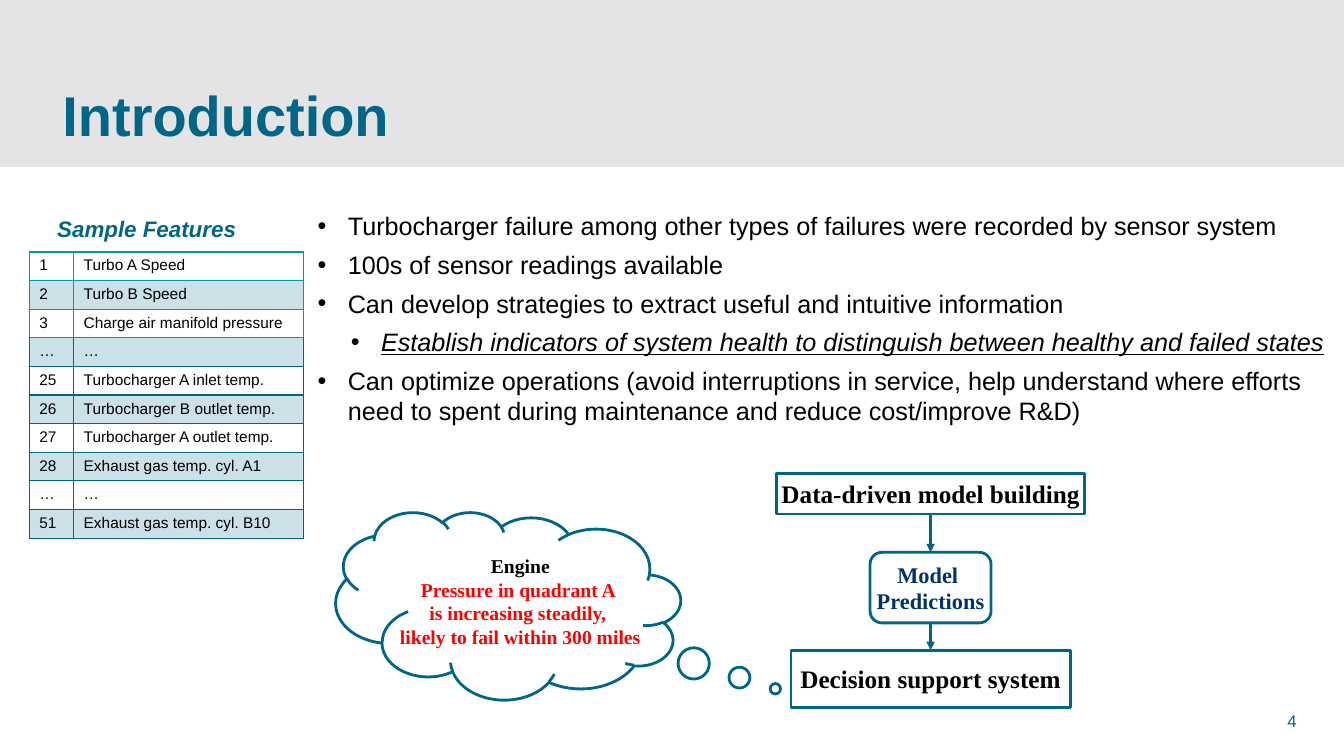
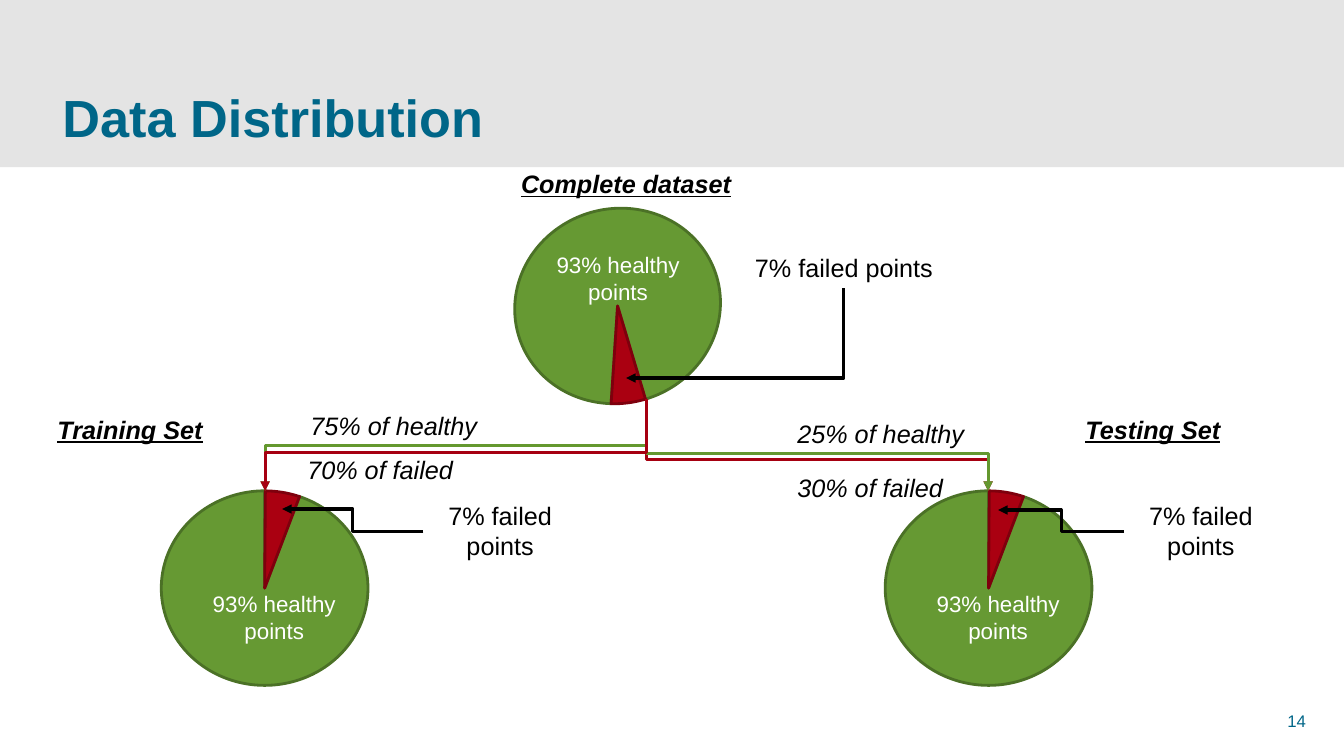
from dataclasses import dataclass, replace

from lxml.etree import SubElement
from pptx import Presentation
from pptx.dml.color import RGBColor
from pptx.enum.shapes import MSO_CONNECTOR, MSO_SHAPE
from pptx.enum.text import MSO_ANCHOR, PP_ALIGN
from pptx.oxml.ns import qn
from pptx.util import Inches, Pt

# Shared colours
BLUE = RGBColor(0x00, 0x66, 0x88)
TEAL = RGBColor(0x00, 0x99, 0xAA)
NAVY = RGBColor(0x00, 0x33, 0x66)
PALE_BLUE = RGBColor(0xCC, 0xE0, 0xE7)
BAND_GRAY = RGBColor(0xE4, 0xE4, 0xE4)
BLACK = RGBColor(0x00, 0x00, 0x00)
WHITE = RGBColor(0xFF, 0xFF, 0xFF)
BRIGHT_RED = RGBColor(0xFF, 0x00, 0x00)
GREEN = RGBColor(0x66, 0x99, 0x33)
GREEN_EDGE = RGBColor(0x4B, 0x71, 0x26)
GREEN_LINE = RGBColor(0x64, 0x98, 0x2F)
RED = RGBColor(0xAA, 0x00, 0x11)
RED_EDGE = RGBColor(0x7E, 0x00, 0x0D)
RED_LINE = RGBColor(0xA6, 0x00, 0x11)

SLIDE_WIDTH, SLIDE_HEIGHT = 13.33, 7.5


@dataclass(frozen=True)
class TextStyle:
    size: float = 18
    color: RGBColor = BLACK
    font: str = "Arial"
    bold: bool = False
    italic: bool = False
    underline: bool = False


# Shared text styles
BODY = TextStyle()
BODY_ITALIC = TextStyle(italic=True)
BODY_STRESSED = TextStyle(italic=True, underline=True)
SET_HEADING = TextStyle(bold=True, italic=True, underline=True)
TITLE = TextStyle(40, BLUE, bold=True)
PAGE_NUMBER = TextStyle(12, BLUE)
TABLE_HEADING = TextStyle(16, BLUE, bold=True, italic=True)
TABLE_TEXT = TextStyle(11)
PIE_TEXT = TextStyle(16, WHITE)
BOX_TEXT = TextStyle(18, font="Times New Roman", bold=True)
MODEL_TEXT = replace(BOX_TEXT, size=16, color=NAVY)
ENGINE_TEXT = replace(BOX_TEXT, size=14)
WARNING_TEXT = replace(ENGINE_TEXT, color=BRIGHT_RED)


def add_run(paragraph, text, style):
    run = paragraph.add_run()
    run.text = text
    font = run.font
    font.name, font.size, font.color.rgb = style.font, Pt(style.size), style.color
    font.bold, font.italic, font.underline = style.bold, style.italic, style.underline


def write_lines(frame, lines, align):
    """Write (text, style) pairs, one paragraph each."""
    for index, (text, style) in enumerate(lines):
        paragraph = frame.add_paragraph() if index else frame.paragraphs[0]
        paragraph.alignment = align
        add_run(paragraph, text, style)


def set_margins(frame, margin):
    frame.margin_left = frame.margin_right = Inches(margin)
    frame.margin_top = frame.margin_bottom = Inches(margin)


def add_text(slide, box, text, style, align=PP_ALIGN.CENTER, anchor=MSO_ANCHOR.TOP):
    frame = slide.shapes.add_textbox(*map(Inches, box)).text_frame
    frame.word_wrap = True
    frame.vertical_anchor = anchor
    write_lines(frame, [(text, style)], align)
    return frame


def add_shape(slide, kind, box, fill, line=None, adjustments=(), lines=()):
    shape = slide.shapes.add_shape(kind, *map(Inches, box))
    shape.shadow.inherit = False
    shape.fill.solid()
    shape.fill.fore_color.rgb = fill
    if line is None:
        shape.line.fill.background()
    else:
        shape.line.color.rgb = line
        shape.line.width = Pt(2)
    for index, value in enumerate(adjustments):
        shape.adjustments[index] = value
    if lines:
        shape.text_frame.word_wrap = False
        shape.text_frame.vertical_anchor = MSO_ANCHOR.MIDDLE
        write_lines(shape.text_frame, lines, PP_ALIGN.CENTER)
    return shape


def style_arrow(connector, color, width):
    connector.line.color.rgb = color
    connector.line.width = Pt(width)
    SubElement(connector.line._get_or_add_ln(), qn("a:tailEnd"), type="triangle")
    SubElement(connector.element.spPr, qn("a:effectLst"))


def add_elbow(slide, start, end, color, bend=0.5, vertical=False, corners=2):
    """Draw a bent arrow; a vertical one leaves its start downwards."""
    (x1, y1), (x2, y2) = start, end
    if vertical:
        # Lay the elbow out sideways around its centre, then turn it
        leftward = x2 < x1
        half_width, half_height = abs(y2 - y1) / 2, abs(x2 - x1) / 2
        center_x, center_y = (x1 + x2) / 2, (y1 + y2) / 2
        reach = half_width if leftward else -half_width
        x1, x2 = center_x - reach, center_x + reach
        y1, y2 = center_y - half_height, center_y + half_height
    connector = slide.shapes.add_connector(
        MSO_CONNECTOR.ELBOW, *map(Inches, (x1, y1, x2, y2)))
    properties = connector.element.spPr
    if vertical:
        degrees = 90 if leftward else 270
        properties.find(qn("a:xfrm")).set("rot", str(degrees * 60000))
    geometry = properties.find(qn("a:prstGeom"))
    if corners == 1:
        geometry.set("prst", "bentConnector2")
    else:
        guides = geometry.find(qn("a:avLst"))
        SubElement(guides, qn("a:gd"), name="adj1", fmla=f"val {round(bend * 100000)}")
    style_arrow(connector, color, 2.25)


def add_titled_slide(presentation, title, number, title_size=40):
    """Blank slide with the shared band, title and page number."""
    slide = presentation.slides.add_slide(presentation.slide_layouts[6])
    add_shape(slide, MSO_SHAPE.RECTANGLE, (0, 0, SLIDE_WIDTH, 1.66), BAND_GRAY)
    frame = add_text(slide, (0.62, 0.37, 11.93, 1.1), title,
                     replace(TITLE, size=title_size), PP_ALIGN.LEFT, MSO_ANCHOR.BOTTOM)
    set_margins(frame, 0)
    add_text(slide, (12.67, 6.95, 0.67, 0.4), number, PAGE_NUMBER,
             PP_ALIGN.LEFT, MSO_ANCHOR.MIDDLE)
    return slide


def add_bullets(slide, box, bullets):
    """Write (text, indent, style) bullets."""
    frame = slide.shapes.add_textbox(*map(Inches, box)).text_frame
    frame.word_wrap = True
    set_margins(frame, 0)
    for index, (text, indent, style) in enumerate(bullets):
        paragraph = frame.add_paragraph() if index else frame.paragraphs[0]
        properties = paragraph._p.get_or_add_pPr()
        properties.set("marL", str(Inches(indent)))
        properties.set("indent", str(Inches(-0.3)))
        SubElement(properties, qn("a:buFont"), typeface="Arial")
        SubElement(properties, qn("a:buChar"), char="•")
        if index:
            paragraph.space_before = Pt(6)
        add_run(paragraph, text, style)


def set_border(cell, side, color):
    line = SubElement(cell._tc.get_or_add_tcPr(), qn(f"a:ln{side}"), w=str(Pt(1)))
    fill = SubElement(line, qn("a:solidFill"))
    SubElement(fill, qn("a:srgbClr"), val=str(color))


def add_feature_table(slide, left, top, features):
    add_text(slide, (left, top, 2.33, 0.37), "Sample Features", TABLE_HEADING)
    row_height, widths = 0.27, (0.44, 2.28)
    table = slide.shapes.add_table(
        len(features), 2, Inches(left), Inches(top + 0.41),
        Inches(sum(widths)), Inches(row_height * len(features))).table
    table.first_row = table.horz_banding = False
    for column, width in zip(table.columns, widths):
        column.width = Inches(width)
    for row, values in enumerate(features):
        table.rows[row].height = Inches(row_height)
        for column, value in enumerate(values):
            cell = table.cell(row, column)
            # The first three rows have teal edges
            for side in "LRTB":
                teal = row < 3 or (row == 3 and side == "T")
                set_border(cell, side, TEAL if teal else BLUE)
            if row % 2:
                cell.fill.solid()
                cell.fill.fore_color.rgb = PALE_BLUE
            else:
                cell.fill.background()
            write_lines(cell.text_frame, [(value, TABLE_TEXT)], PP_ALIGN.LEFT)


def add_decision_flow(slide, center, top):
    """Stack the three steps on one centre line and join them."""
    steps = [
        (MSO_SHAPE.RECTANGLE, 0, 3.05, 0.4, [("Data-driven model building", BOX_TEXT)]),
        (MSO_SHAPE.ROUNDED_RECTANGLE, 0.78, 1.2, 0.7,
         [("Model ", MODEL_TEXT), ("Predictions", MODEL_TEXT)]),
        (MSO_SHAPE.RECTANGLE, 1.75, 2.77, 0.57, [("Decision support system", BOX_TEXT)]),
    ]
    boxes = [add_shape(slide, kind, (center - width / 2, top + offset, width, height),
                       WHITE, BLUE, lines=lines)
             for kind, offset, width, height, lines in steps]
    for upper, lower in zip(boxes, boxes[1:]):
        arrow = slide.shapes.add_connector(MSO_CONNECTOR.STRAIGHT, 0, 0, 0, 0)
        arrow.begin_connect(upper, 2)
        arrow.end_connect(lower, 0)
        style_arrow(arrow, BLUE, 2)


def add_engine_thought(slide, box):
    warnings = ("Pressure in quadrant A ", "is increasing steadily, ",
                "likely to fail within 300 miles")
    lines = [("Engine", ENGINE_TEXT)] + [(text, WARNING_TEXT) for text in warnings]
    cloud = add_shape(slide, MSO_SHAPE.CLOUD_CALLOUT, box, WHITE, BLUE,
                      (-0.775, 0.443), lines)
    cloud.element.spPr.find(qn("a:xfrm")).set("flipH", "1")


def build_introduction(presentation):
    slide = add_titled_slide(presentation, "Introduction", "4")
    add_bullets(slide, (3.15, 2.09, 10.07, 3.27), [
        ("Turbocharger failure among other types of failures were recorded by "
         "sensor system", 0.3, BODY),
        ("100s of sensor readings available", 0.3, BODY),
        ("Can develop strategies to extract useful and intuitive information", 0.3, BODY),
        ("Establish indicators of system health to distinguish between healthy "
         "and failed states", 0.63, BODY_STRESSED),
        ("Can optimize operations (avoid interruptions in service, help understand "
         "where efforts need to spent during maintenance and reduce cost/improve R&D)",
         0.3, BODY),
    ])
    add_feature_table(slide, 0.29, 2.09, [
        ("1", "Turbo A Speed"), ("2", "Turbo B Speed"),
        ("3", "Charge air manifold pressure"), ("…", "…"),
        ("25", "Turbocharger A inlet temp."), ("26", "Turbocharger B outlet temp."),
        ("27", "Turbocharger A outlet temp."), ("28", "Exhaust gas temp. cyl. A1"),
        ("…", "…"), ("51", "Exhaust gas temp. cyl. B10"),
    ])
    add_engine_thought(slide, (3.33, 5.08, 3.42, 1.86))
    add_decision_flow(slide, 9.23, 4.7)


def add_dataset_pie(slide, left, top, label_offset, failed_box, rotations=(0, 0)):
    """Healthy sector, failed sector and both labels, relative to the pie's corner."""
    sectors = [(GREEN, GREEN_EDGE, (174.15, 162)), (RED, RED_EDGE, (162.25, 174.53))]
    for (fill, edge, angles), rotation in zip(sectors, rotations):
        sector = add_shape(slide, MSO_SHAPE.PIE, (left, top, 2.05, 1.93), fill, edge, angles)
        sector.rotation = rotation
    label_x, label_y = label_offset
    add_text(slide, (left + label_x, top + label_y, 1.9, 0.64), "93% healthy points", PIE_TEXT)
    failed_x, failed_y, width, height = failed_box
    add_text(slide, (left + failed_x, top + failed_y, width, height), "7% failed points", BODY)


def build_data_distribution(presentation):
    slide = add_titled_slide(presentation, "Data Distribution", "14", 37.3)
    # Pies with the arrows to their failed sectors
    add_dataset_pie(slide, 5.1, 2.07, (0.08, 0.37), (2.21, 0.38, 2.12, 0.4), (163.6, 162.9))
    add_elbow(slide, (8.37, 2.86), (6.21, 3.75), BLACK, vertical=True, corners=1)
    for left, failed_x, tip in ((1.6, 2.6, (2.8, 5.05)), (8.78, 2.37, (9.9, 5.06))):
        add_dataset_pie(slide, left, 4.87, (0.17, 0.94), (failed_x, 0.04, 1.52, 0.71))
        add_elbow(slide, (left + failed_x, 5.27), tip, BLACK)
    # Set headings
    for text, box in (("Training Set", (0.33, 4.06, 1.92, 0.4)),
                      ("Testing Set", (10.62, 4.06, 1.63, 0.4)),
                      ("Complete dataset", (4.56, 1.62, 3.3, 0.4))):
        add_text(slide, box, text, SET_HEADING)
    # Split of the complete dataset
    for end_x, color, bend in ((2.63, GREEN_LINE, 0.51), (9.8, RED_LINE, 0.66),
                               (9.8, GREEN_LINE, 0.59), (2.63, RED_LINE, 0.58)):
        add_elbow(slide, (6.41, 3.96), (end_x, 4.87), color, bend, vertical=True)
    for text, left, top in (("25% of healthy", 7.81, 4.1), ("75% of healthy", 2.98, 4.02),
                            ("70% of failed", 2.95, 4.46), ("30% of failed", 7.81, 4.64)):
        add_text(slide, (left, top, 2.23, 0.4), text, BODY_ITALIC, PP_ALIGN.LEFT)


def main():
    presentation = Presentation()
    presentation.slide_width = Inches(SLIDE_WIDTH)
    presentation.slide_height = Inches(SLIDE_HEIGHT)
    build_introduction(presentation)
    build_data_distribution(presentation)
    presentation.save("out.pptx")


if __name__ == "__main__":
    main()
